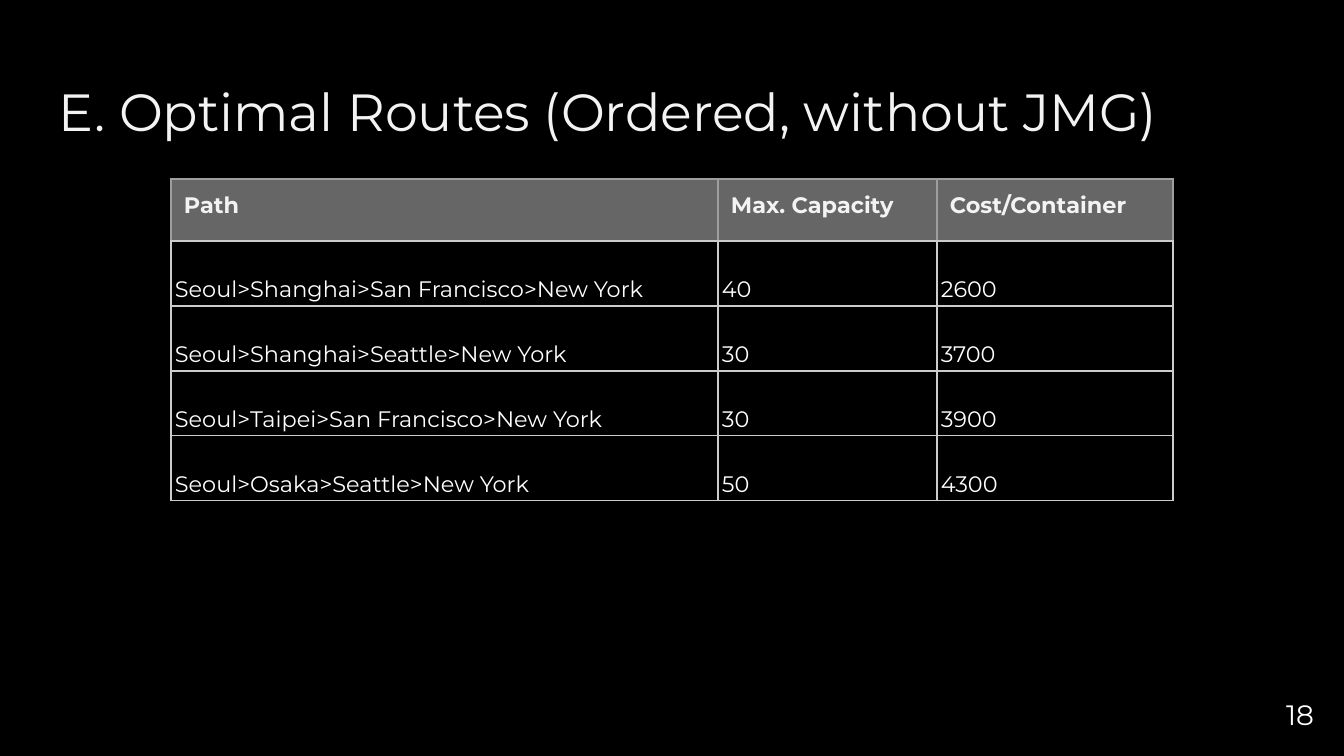
"""Build the slide listing the optimal shipping routes."""
from lxml.etree import SubElement
from pptx import Presentation
from pptx.dml.color import RGBColor
from pptx.enum.text import MSO_ANCHOR as Anchor, PP_ALIGN as Align
from pptx.oxml.ns import qn
from pptx.util import Pt

SCALE = 914400 / 134.4
COLORS = {
    "background": "000000",
    "heading": "F3F3F3",
    "body": "FFFFFF",
    "header_fill": "666666",
    "header_line": "9E9E9E",
    "line": "CCCCCC",
}
ROUTES = [
    ("Path", "Max. Capacity", "Cost/Container"),
    ("Seoul>Shanghai>San Francisco>New York", "40", "2600"),
    ("Seoul>Shanghai>Seattle>New York", "30", "3700"),
    ("Seoul>Taipei>San Francisco>New York", "30", "3900"),
    ("Seoul>Osaka>Seattle>New York", "50", "4300"),
]


def px(value):
    return round(value * SCALE)


def rgb(name):
    return RGBColor.from_string(COLORS[name])


class RouteSlide:
    font = "Montserrat"

    def __init__(self, presentation):
        self.slide = presentation.slides.add_slide(presentation.slide_layouts[6])
        fill = self.slide.background.fill
        fill.solid()
        fill.fore_color.rgb = rgb("background")

    def set_text(self, text_frame, text, size, color, bold=False):
        text_frame.text = text
        paragraph = text_frame.paragraphs[0]
        font = paragraph.runs[0].font
        font.name, font.size, font.bold = self.font, Pt(size), bold
        font.color.rgb = rgb(color)
        return paragraph

    def set_margins(self, owner, horizontal, vertical):
        owner.margin_left = owner.margin_right = px(horizontal)
        owner.margin_top = owner.margin_bottom = px(vertical)

    def text(self, box, text, size, color, align=Align.LEFT, anchor=Anchor.TOP):
        text_frame = self.slide.shapes.add_textbox(*map(px, box)).text_frame
        text_frame.word_wrap = True
        text_frame.vertical_anchor = anchor
        self.set_margins(text_frame, 13, 13)
        self.set_text(text_frame, text, size, color).alignment = align

    def borders(self, cell, header):
        properties = cell._tc.get_or_add_tcPr()
        for side in "LRTB":
            color = "header_line" if header and side != "B" else "line"
            line = SubElement(properties, qn(f"a:ln{side}"), w=str(Pt(0.75)))
            fill = SubElement(line, qn("a:solidFill"))
            SubElement(fill, qn("a:srgbClr"), val=COLORS[color])

    def cell(self, cell, text, header):
        self.borders(cell, header)
        if header:
            cell.fill.solid()
            cell.fill.fore_color.rgb = rgb("header_fill")
            self.set_margins(cell, 13, 13)
            self.set_text(cell.text_frame, text, 12, "heading", bold=True)
        else:
            cell.fill.background()
            cell.vertical_anchor = Anchor.BOTTOM
            self.set_margins(cell, 4, 3)
            self.set_text(cell.text_frame, text, 12, "body").line_spacing = 1.15

    def table(self, left, top, widths, heights, rows):
        box = map(px, (left, top, sum(widths), sum(heights)))
        table = self.slide.shapes.add_table(len(rows), len(widths), *box).table
        table.first_row = table.horz_banding = False
        for column, width in zip(table.columns, widths):
            column.width = px(width)
        for row, height in zip(table.rows, heights):
            row.height = px(height)
        for row_index, values in enumerate(rows):
            for column_index, value in enumerate(values):
                self.cell(table.cell(row_index, column_index), value, row_index == 0)


def main():
    presentation = Presentation()
    presentation.slide_width, presentation.slide_height = px(1344), px(756)
    page = RouteSlide(presentation)
    page.text((46, 66, 1414, 85), "E. Optimal Routes (Ordered, without JMG)", 28, "heading")
    page.text((1246, 685, 81, 58), "18", 15, "body", Align.RIGHT, Anchor.MIDDLE)
    page.table(171, 179, [547, 219, 236], [62] + [65] * 4, ROUTES)
    presentation.save("out.pptx")


if __name__ == "__main__":
    main()
